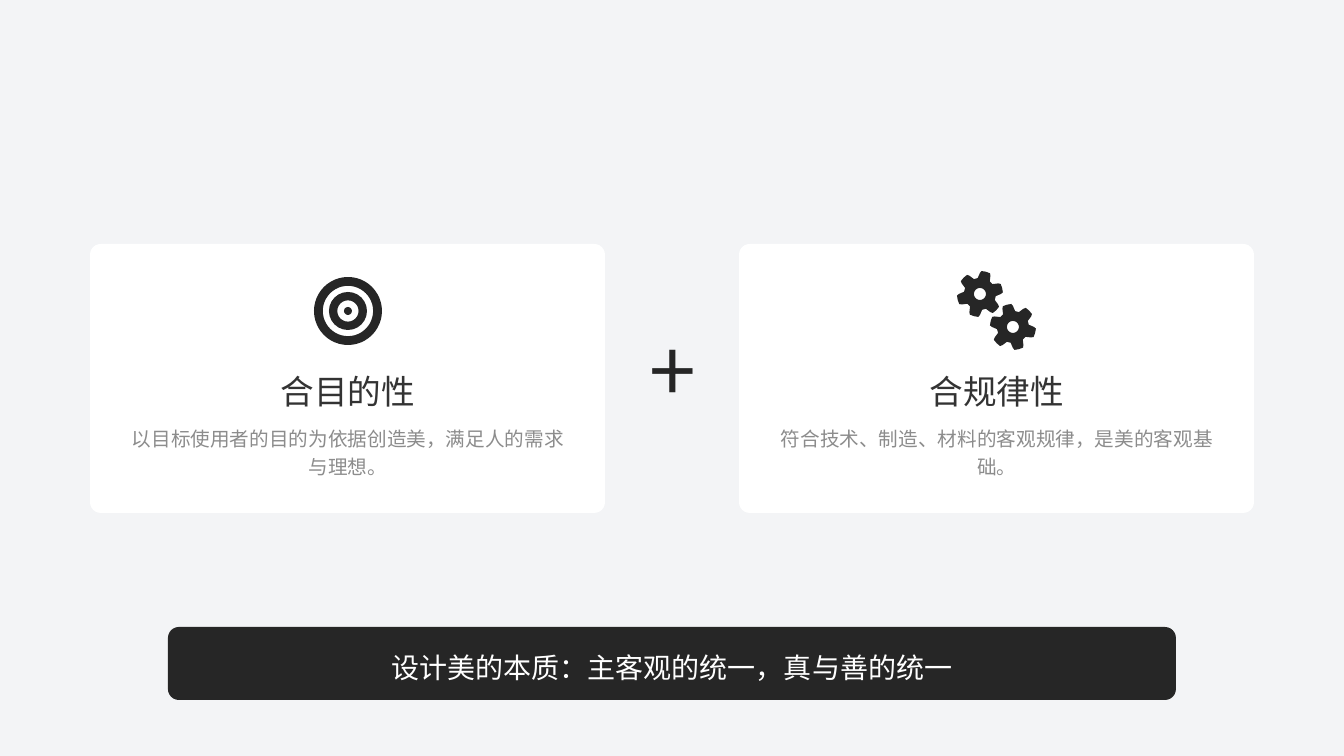
from math import cos, radians, sin

from pptx import Presentation
from pptx.dml.color import RGBColor
from pptx.enum.shapes import MSO_SHAPE as SHAPE
from pptx.enum.text import MSO_ANCHOR as ANCHOR, PP_ALIGN as ALIGN
from pptx.oxml.ns import qn
from pptx.util import Pt
from lxml import etree

PX = 12192000 / 1344
FONT = "Noto Sans CJK SC"
DARK = "262626"
WHITE = "FFFFFF"


def paint(shape, color):
    shape.shadow.inherit = False
    shape.fill.solid()
    shape.fill.fore_color.rgb = RGBColor.from_string(color)
    shape.line.fill.background()


def write(shape, text, size, color, spacing, align=ALIGN.CENTER):
    frame = shape.text_frame
    frame.word_wrap = True
    frame.vertical_anchor = ANCHOR.MIDDLE
    frame.margin_left = frame.margin_right = frame.margin_top = frame.margin_bottom = 0
    frame.text = text
    paragraph = frame.paragraphs[0]
    paragraph.alignment = align
    paragraph.line_spacing = spacing
    font = paragraph.runs[0].font
    font.size = Pt(size)
    font.name = FONT
    font.color.rgb = RGBColor.from_string(color)
    etree.SubElement(paragraph.runs[0].font._element, qn("a:ea"), typeface=FONT)


presentation = Presentation()
presentation.slide_width = round(1344 * PX)
presentation.slide_height = round(756 * PX)
slide = presentation.slides.add_slide(presentation.slide_layouts[6])
slide.background.fill.solid()
slide.background.fill.fore_color.rgb = RGBColor.from_string("F3F4F6")
shapes = slide.shapes

# Cards
cards = [
    (90, "合目的性", "以目标使用者的目的为依据创造美，满足人的需求与理想。"),
    (739, "合规律性", "符合技术、制造、材料的客观规律，是美的客观基础。"),
]
for left, title, body in cards:
    card = shapes.add_shape(SHAPE.ROUNDED_RECTANGLE, *[round(v * PX) for v in (left, 244, 515, 269)])
    card.adjustments[0] = 0.04
    paint(card, WHITE)
    title_box = shapes.add_textbox(*[round(v * PX) for v in (left + 6, 367, 504, 44)])
    write(title_box, title, 24, "333333", 1.1)
    body_box = shapes.add_textbox(*[round(v * PX) for v in (left + 34, 422, 448, 56)])
    write(body_box, body, 14, "8C8C8C", 1.2)

# Target icon: two rings and a dot around one centre
for kind, diameter, thickness in [(SHAPE.DONUT, 68, 0.13), (SHAPE.DONUT, 38, 0.22), (SHAPE.OVAL, 8, None)]:
    ring = shapes.add_shape(
        kind, *[round(v * PX) for v in (348 - diameter / 2, 311 - diameter / 2, diameter, diameter)]
    )
    if thickness:
        ring.adjustments[0] = thickness
    paint(ring, DARK)

# Gear icon: six teeth per gear, each tooth given as (angle, radius) points
tooth = [(-23, 16), (-15, 21), (-11, 23), (0, 23), (11, 23), (15, 21), (23, 16)]
outlines = []
for center_x, center_y, first_angle in [(980, 294, -75), (1013, 327, 75)]:
    rim = [(first_angle + 60 * i + angle, radius) for i in range(6) for angle, radius in tooth]
    hole = [(angle, 6) for angle in range(0, 360, 15)]
    for polar in (rim, hole):
        outlines.append([
            (round((center_x + r * cos(radians(a))) * PX), round((center_y + r * sin(radians(a))) * PX))
            for a, r in polar
        ])
builder = shapes.build_freeform(*outlines[0][0])
builder.add_line_segments(outlines[0][1:])
for outline in outlines[1:]:
    builder.move_to(*outline[0])
    builder.add_line_segments(outline[1:])
paint(builder.convert_to_shape(), DARK)

# Plus sign between the cards
plus_box = shapes.add_textbox(*[round(v * PX) for v in (650, 336, 100, 84)])
write(plus_box, "+", 60, DARK, 0.8, ALIGN.LEFT)

# Conclusion bar
bar = shapes.add_shape(SHAPE.ROUNDED_RECTANGLE, *[round(v * PX) for v in (168, 627, 1008, 73)])
bar.adjustments[0] = 0.15
paint(bar, DARK)
write(bar, "设计美的本质：主客观的统一，真与善的统一", 20, WHITE, 1.2)

presentation.save("out.pptx")
